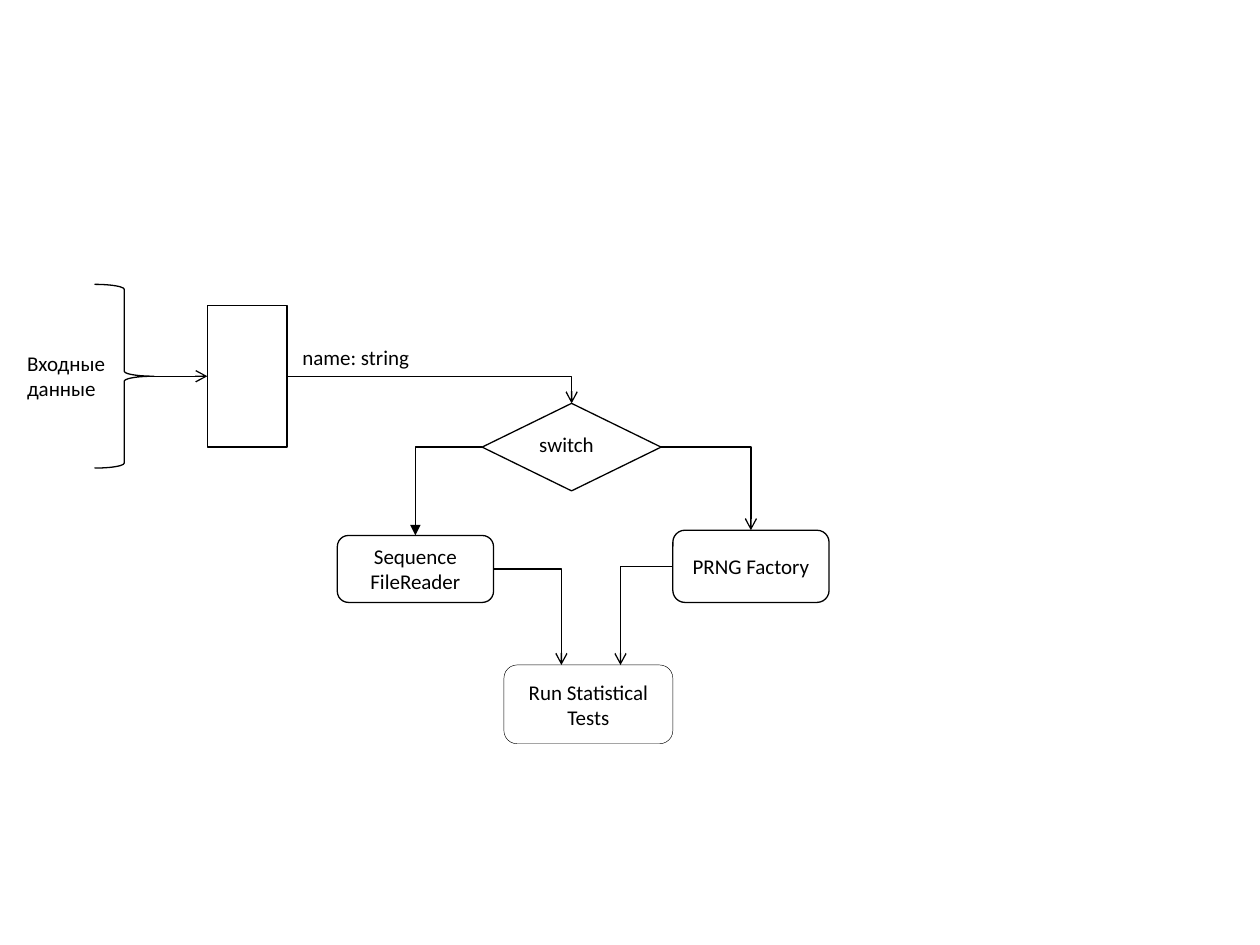
"""Build a flowchart slide: input data, a switch, two sources and the statistical tests."""
from dataclasses import dataclass

from lxml import etree
from pptx import Presentation
from pptx.dml.color import RGBColor
from pptx.enum.shapes import MSO_CONNECTOR, MSO_SHAPE
from pptx.enum.text import MSO_ANCHOR, MSO_AUTO_SIZE, PP_ALIGN
from pptx.oxml.ns import qn
from pptx.util import Pt

RECT, ROUNDED = MSO_SHAPE.RECTANGLE, MSO_SHAPE.ROUNDED_RECTANGLE
DECISION, BRACE = MSO_SHAPE.FLOWCHART_DECISION, MSO_SHAPE.RIGHT_BRACE
STRAIGHT, ELBOW = MSO_CONNECTOR.STRAIGHT, MSO_CONNECTOR.ELBOW
LEFT, CENTER = PP_ALIGN.LEFT, PP_ALIGN.CENTER
TOP, MIDDLE = MSO_ANCHOR.TOP, MSO_ANCHOR.MIDDLE
GROW = MSO_AUTO_SIZE.SHAPE_TO_FIT_TEXT


@dataclass(frozen=True)
class Theme:
    ink: RGBColor = RGBColor(0, 0, 0)
    paper: RGBColor = RGBColor(255, 255, 255)
    font: str = "Calibri"
    size: float = 12
    line: float = 0.75
    hairline: float = 0.25


THEME = Theme()
SLIDE_SIZE = (720, 540)

STEPS = {
    "parser": (RECT, (118.5, 174.5, 45.5, 81), "", CENTER, MIDDLE, THEME.line),
    "factory": (ROUNDED, (384.5, 303, 89.25, 41.25), "PRNG Factory", CENTER, MIDDLE, THEME.line),
    "reader": (ROUNDED, (192.75, 306, 89.25, 38.25), "Sequence FileReader", CENTER, MIDDLE, THEME.line),
    "switch": (DECISION, (275.5, 230.5, 102.25, 50), "switch", LEFT, TOP, THEME.line),
    "input": (BRACE, (54, 162.5, 34, 105), "", CENTER, MIDDLE, THEME.line),
    "tests": (ROUNDED, (288, 380, 96.5, 45), "Run Statistical Tests", CENTER, MIDDLE, THEME.hairline),
}
CAPTIONS = [
    ((8.4, 196.7, 59.8, 36.3), "Входные\nданные", LEFT),
    ((165.2, 193.2, 76.3, 21.8), "name: string", CENTER),
]
WEST, EAST, NORTH = (0, 0.5), (1, 0.5), (0.5, 0)
LINKS = [
    (ELBOW, "switch", WEST, "reader", NORTH, "triangle"),
    (STRAIGHT, "input", EAST, "parser", WEST, "arrow"),
    (ELBOW, "switch", EAST, "factory", NORTH, "arrow"),
    (ELBOW, "reader", EAST, "tests", (0.34, 0), "arrow"),
    (ELBOW, "factory", WEST, "tests", (0.69, 0), "arrow"),
    (ELBOW, "parser", EAST, "switch", NORTH, "arrow"),
]


def write(frame, text, align, **layout):
    for key, value in layout.items():
        setattr(frame, key, value)
    frame.text = text
    for paragraph in frame.paragraphs:
        paragraph.alignment = align
        for key, value in {"name": THEME.font, "size": Pt(THEME.size)}.items():
            setattr(paragraph.font, key, value)
        paragraph.font.color.rgb = THEME.ink


def draw_line(line, width):
    line.color.rgb = THEME.ink
    line.width = Pt(width)


def add_step(shapes, kind, box, text, align, anchor, width):
    step = shapes.add_shape(kind, *map(Pt, box))
    step.shadow.inherit = False
    if kind == BRACE:
        step.fill.background()
    else:
        step.fill.solid()
        step.fill.fore_color.rgb = THEME.paper
    draw_line(step.line, width)
    if text:
        write(step.text_frame, text, align, vertical_anchor=anchor, word_wrap=True)


def site(step, fractions):
    left, top, width, height = STEPS[step][1]
    return Pt(left + width * fractions[0]), Pt(top + height * fractions[1])


def add_link(shapes, kind, source, leave, target, enter, head):
    link = shapes.add_connector(kind, *site(source, leave), *site(target, enter))
    draw_line(link.line, THEME.line)
    properties = link._element.spPr
    if kind == ELBOW:
        properties.find(qn("a:prstGeom")).set("prst", "bentConnector2")
    etree.SubElement(properties.find(qn("a:ln")), qn("a:tailEnd"), type=head)
    etree.SubElement(properties, qn("a:effectLst"))


deck = Presentation()
deck.slide_width, deck.slide_height = map(Pt, SLIDE_SIZE)
shapes = deck.slides.add_slide(deck.slide_layouts[6]).shapes

for step in STEPS.values():
    add_step(shapes, *step)
for box, text, align in CAPTIONS:
    caption = shapes.add_textbox(*map(Pt, box))
    write(caption.text_frame, text, align, word_wrap=False, auto_size=GROW)
for link in LINKS:
    add_link(shapes, *link)

deck.save("out.pptx")
